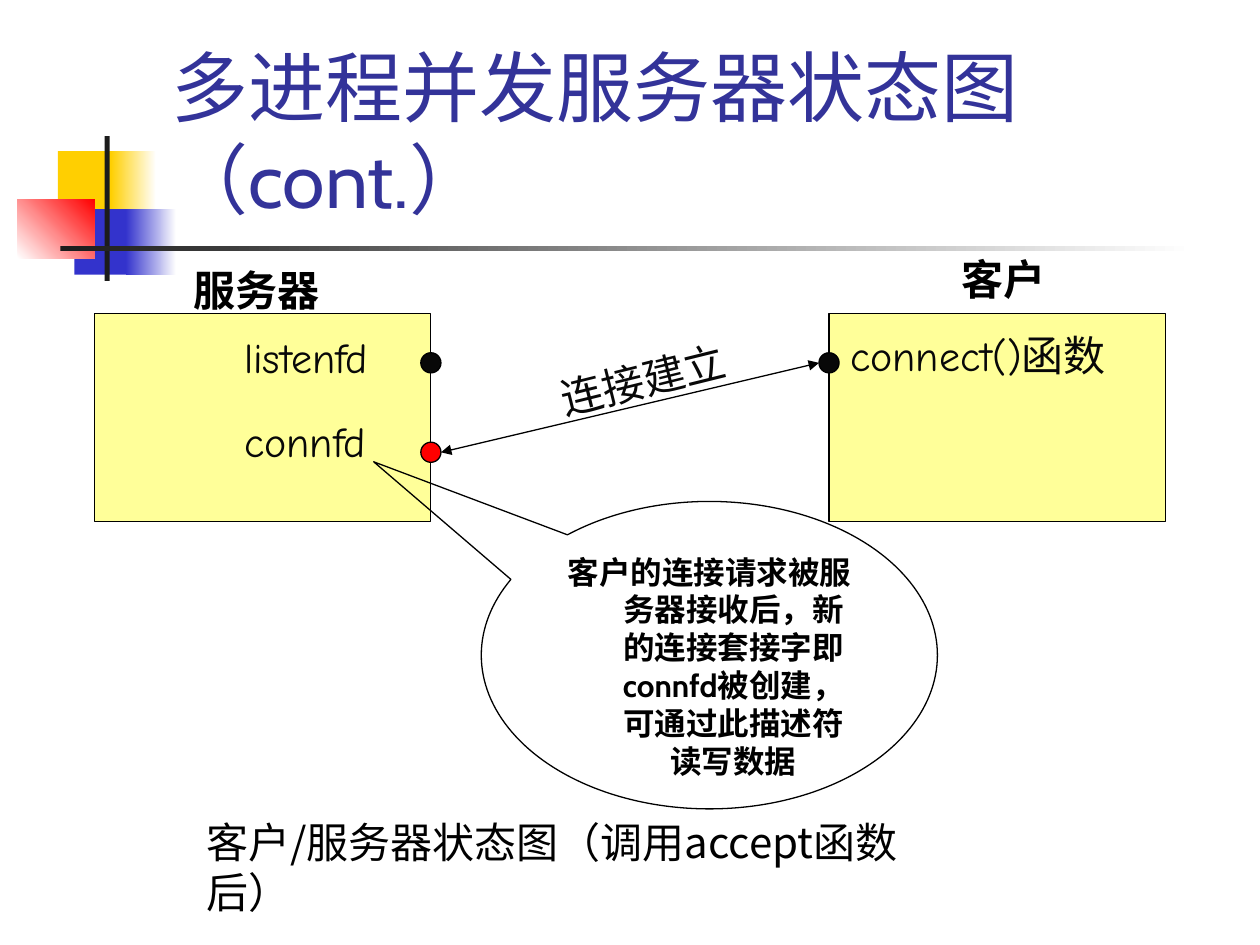
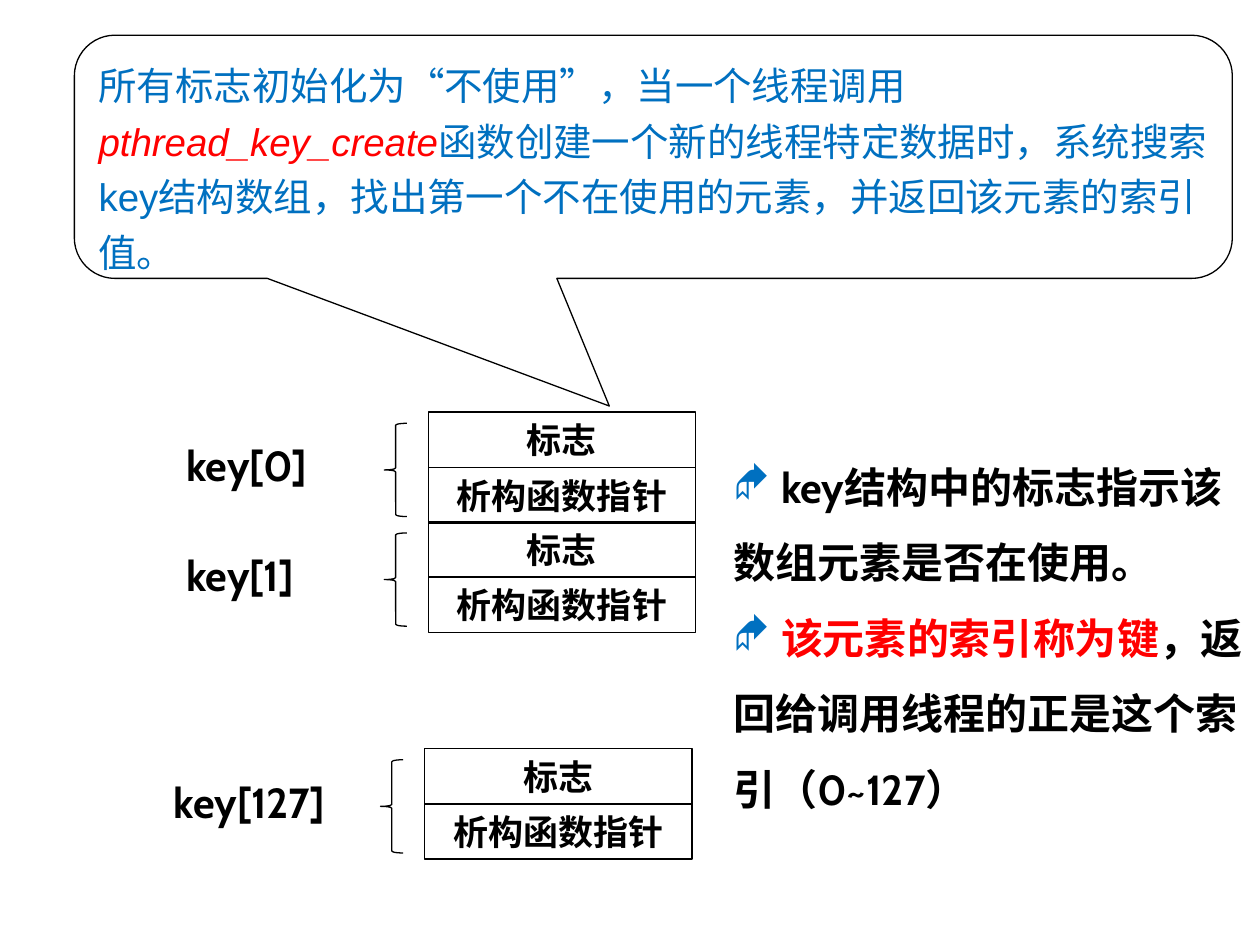
"""Builds two slides: a forking server's connection states and the thread key array."""
from lxml import etree
from pptx import Presentation
from pptx.dml.color import RGBColor
from pptx.enum.shapes import MSO_CONNECTOR, MSO_SHAPE
from pptx.enum.text import MSO_ANCHOR, PP_ALIGN
from pptx.oxml.ns import qn
from pptx.util import Inches, Pt

RECT, OVAL, BRACE = MSO_SHAPE.RECTANGLE, MSO_SHAPE.OVAL, MSO_SHAPE.LEFT_BRACE
OVAL_CALLOUT = MSO_SHAPE.OVAL_CALLOUT
ROUND_CALLOUT = MSO_SHAPE.ROUNDED_RECTANGULAR_CALLOUT
TOP, MIDDLE, BOTTOM = MSO_ANCHOR.TOP, MSO_ANCHOR.MIDDLE, MSO_ANCHOR.BOTTOM
LEFT, CENTER = PP_ALIGN.LEFT, PP_ALIGN.CENTER

COLORS = {
    "black": "000000", "ink": "080808", "rule": "1C1C1C", "white": "FFFFFF",
    "title": "333399", "gold": "FFCF01", "indigo": "3333CC", "red": "FF0000",
    "process": "FFFF99", "blue": "0070C0",
}
BODY, HAND, SANS, CJK, CAPTION = (
    "Cabin", "Comic Neue", "Arial", "Noto Sans CJK SC", "Noto Sans CJK JP")
BULLET_FONT = "Wingdings"
INDENT = 0.38

ORNAMENTS = [
    ((0.46, 1.2, 0.48, 0.52), ("gold",), 0),
    ((0.88, 1.2, 0.36, 0.52), ("gold", "white"), 0),
    ((0.59, 1.66, 0.46, 0.52), ("indigo",), 0),
    ((1, 1.66, 0.4, 0.52), ("indigo", "white"), 0),
    ((0.14, 1.58, 0.61, 0.47), ("white", "red"), 45),
    ((0.83, 1.08, 0.04, 1.15), ("rule",), 0),
    ((0.48, 1.95, 9, 0.04), ("rule", "white"), 0),
]

TITLE = "多进程并发服务器状态图（cont.）"
PROCESS_TOP, PROCESS_WIDTH, PROCESS_HEIGHT = 2.49, 2.67, 1.65
SERVER_LEFT, CLIENT_LEFT = 0.75, 6.58
DOT = 0.16
SERVER_EDGE = SERVER_LEFT + PROCESS_WIDTH
LISTEN_Y, CONN_Y = 2.88, 3.59
SOCKETS = [(SERVER_EDGE, LISTEN_Y, "ink"), (CLIENT_LEFT, LISTEN_Y, "ink"),
           (SERVER_EDGE, CONN_Y, "red")]
STATE_LABELS = [
    ("服务器", (1.44, 2.05, 1.2, 0.5), SANS, "black", True, 0),
    ("客户", (7.53, 1.96, 0.87, 0.5), SANS, "black", True, 0),
    ("connect()函数", (6.65, 2.57, 2.32, 0.5), HAND, "ink", False, 0),
    ("listenfd", (1.84, 2.58, 1.43, 0.5), HAND, "ink", False, 0),
    ("connfd", (1.84, 3.25, 1.27, 0.5), HAND, "ink", False, 0),
    ("连接建立", (4.34, 2.76, 1.53, 0.5), SANS, "ink", False, 346.1),
    ("客户/服务器状态图（调用accept函数后）", (1.54, 6.43, 6.24, 0.5),
     CAPTION, "black", False, 0),
]
ACCEPT_NOTE = "客户的连接请求被服务器接收后，新的连接套接字即connfd被创建，可通过此描述符读写数据"

KEY_FIELDS = ["标志", "析构函数指针"]
FIELD_WIDTH, FIELD_HEIGHT = 2.12, 0.44
KEYS = [("key[0]", 3.4, 3.27, 1.38), ("key[1]", 3.4, 4.14, 1.38),
        ("key[127]", 3.37, 5.94, 1.28)]
KEY_NOTES = [
    (True, [("key结构中的标志指示该", BODY, "black")]),
    (False, [("数组元素是否在使用。", BODY, "black")]),
    (True, [("该元素的索引称为键", CJK, "red"), ("，返", BODY, "black")]),
    (False, [("回给调用线程的正是这个索", BODY, "black")]),
    (False, [("引（0~127）", BODY, "black")]),
]
CREATE_NOTE = [
    ("所有标志初始化为“不使用”，当一个线程调用", HAND, "blue", False),
    ("pthread_key_create", SANS, "red", True),
    ("函数创建一个新的线程特定数据时，系统搜索key结构数组，找出第一个不在使用的元素，"
     "并返回该元素的索引值。", SANS, "blue", False),
]


def rgb(name):
    return RGBColor.from_string(COLORS[name])


def style(font, face=None, size=None, color=None, bold=None, italic=None, east=BODY):
    if face:
        font.name = face
        latin = font._element.find(qn("a:latin"))
        latin.addnext(etree.Element(qn("a:ea"), typeface=CJK if face == CJK else east))
    if size:
        font.size = Pt(size)
    if color:
        font.color.rgb = rgb(color)
    if bold is not None:
        font.bold = bold
    if italic is not None:
        font.italic = italic


def set_frame(box, anchor=TOP, right=0.1):
    frame = box.text_frame
    frame.word_wrap = True
    frame.vertical_anchor = anchor
    frame.margin_left, frame.margin_right = Inches(0.1), Inches(right)
    frame.margin_top = frame.margin_bottom = Inches(0.05)
    return frame


def write(box, text, face, size, color, bold=False, align=LEFT, anchor=TOP, right=0.1):
    para = set_frame(box, anchor, right).paragraphs[0]
    para.text = text
    para.alignment = align
    style(para.font, face, size, color, bold)
    return para


def hang(para, bullet=None):
    properties = para._p.get_or_add_pPr()
    properties.set("marL", str(Inches(INDENT)))
    properties.set("indent", str(-Inches(INDENT)))
    if bullet:
        tint = etree.SubElement(properties, qn("a:buClr"))
        etree.SubElement(tint, qn("a:srgbClr"), val=COLORS["blue"])
        etree.SubElement(properties, qn("a:buFont"), typeface=BULLET_FONT, charset="2")
        etree.SubElement(properties, qn("a:buChar"), char=bullet)


def add_box(page, kind, place, fills=(), line=None, angle=0):
    box = page.shapes.add_shape(kind, *map(Inches, place))
    box.shadow.inherit = False
    if len(fills) == 2:
        box.fill.gradient()
        box.fill.gradient_angle = angle
        for stop, name in zip(box.fill.gradient_stops, fills):
            stop.color.rgb = rgb(name)
    elif fills:
        box.fill.solid()
        box.fill.fore_color.rgb = rgb(fills[0])
    else:
        box.fill.background()
    if line:
        box.line.color.rgb = rgb("black")
        box.line.width = Pt(line)
    else:
        box.line.fill.background()
    return box


def add_label(page, text, place, face, color, bold, turn=0):
    box = page.shapes.add_textbox(*map(Inches, place))
    box.rotation = turn
    write(box, text, face, 24, color, bold, right=0)


def add_double_arrow(page, start, end):
    arrow = page.shapes.add_connector(
        MSO_CONNECTOR.STRAIGHT, *map(Inches, (*start, *end)))
    arrow.line.color.rgb = rgb("black")
    arrow.line.width = Pt(0.75)
    outline = arrow.line._get_or_add_ln()
    for tip in ("a:headEnd", "a:tailEnd"):
        etree.SubElement(outline, qn(tip), type="triangle")
    etree.SubElement(arrow._element.spPr, qn("a:effectLst"))


def set_adjustments(box, values):
    for index, value in enumerate(values):
        box.adjustments[index] = value


def build_state_page(deck):
    page = deck.slides.add_slide(deck.slide_layouts[5])
    for place, fills, angle in ORNAMENTS:
        add_box(page, RECT, place, fills, angle=angle)
    title = page.shapes.title
    title.left, title.top, title.width, title.height = map(
        Inches, (1.26, 0.23, 8.52, 1.6))
    write(title, TITLE, BODY, 44, "title", anchor=BOTTOM)

    for left in (SERVER_LEFT, CLIENT_LEFT):
        place = (left, PROCESS_TOP, PROCESS_WIDTH, PROCESS_HEIGHT)
        add_box(page, RECT, place, ("process",), 0.75)
    for x, y, color in SOCKETS:
        add_box(page, OVAL, (x - DOT / 2, y - DOT / 2, DOT, DOT), (color,), 0.75)
    add_double_arrow(page, (CLIENT_LEFT - DOT / 2, LISTEN_Y),
                     (SERVER_EDGE + DOT / 2, CONN_Y))
    for label in STATE_LABELS:
        add_label(page, *label)
    callout = add_box(page, OVAL_CALLOUT, (3.82, 3.98, 3.62, 2.44), line=0.75)
    set_adjustments(callout, (-0.736, -0.629))
    hang(write(callout, ACCEPT_NOTE, BODY, 18, "black", True, CENTER))


def build_key_page(deck):
    page = deck.slides.add_slide(deck.slide_layouts[6])
    for name, left, top, label_left in KEYS:
        for row, field in enumerate(KEY_FIELDS):
            place = (left, top + row * FIELD_HEIGHT, FIELD_WIDTH, FIELD_HEIGHT)
            box = add_box(page, RECT, place, line=1)
            write(box, field, CJK, 20, "black", True, CENTER, MIDDLE)
        add_box(page, BRACE, (left - 0.35, top + 0.09, 0.18, 0.74), line=0.75)
        add_label(page, name, (label_left, top + 0.17, 1.75, 0.5), BODY, "black", True)

    notes = page.shapes.add_textbox(*map(Inches, (5.72, 3.41, 4.28, 3.53)))
    frame = set_frame(notes, right=0)
    for index, (bulleted, spans) in enumerate(KEY_NOTES):
        para = frame.add_paragraph() if index else frame.paragraphs[0]
        para.line_spacing = 1.5
        if bulleted:
            hang(para, "◆")
        style(para.font, size=24, bold=True)
        for text, face, color in spans:
            span = para.add_run()
            span.text = text
            style(span.font, face, color=color)

    callout = add_box(page, ROUND_CALLOUT, (0.59, 0.28, 9.19, 1.93), ("white",), 0.75)
    set_adjustments(callout, (-0.038, 1.025, 0.167))
    para = set_frame(callout).paragraphs[0]
    para.alignment = LEFT
    para.line_spacing = 1.2
    style(para.font, size=22)
    for text, face, color, italic in CREATE_NOTE:
        span = para.add_run()
        span.text = text
        style(span.font, face, color=color, italic=italic, east=CJK)


def main():
    deck = Presentation()
    deck.slide_width, deck.slide_height = Inches(10), Inches(7.5)
    build_state_page(deck)
    build_key_page(deck)
    deck.save("out.pptx")


if __name__ == "__main__":
    main()
